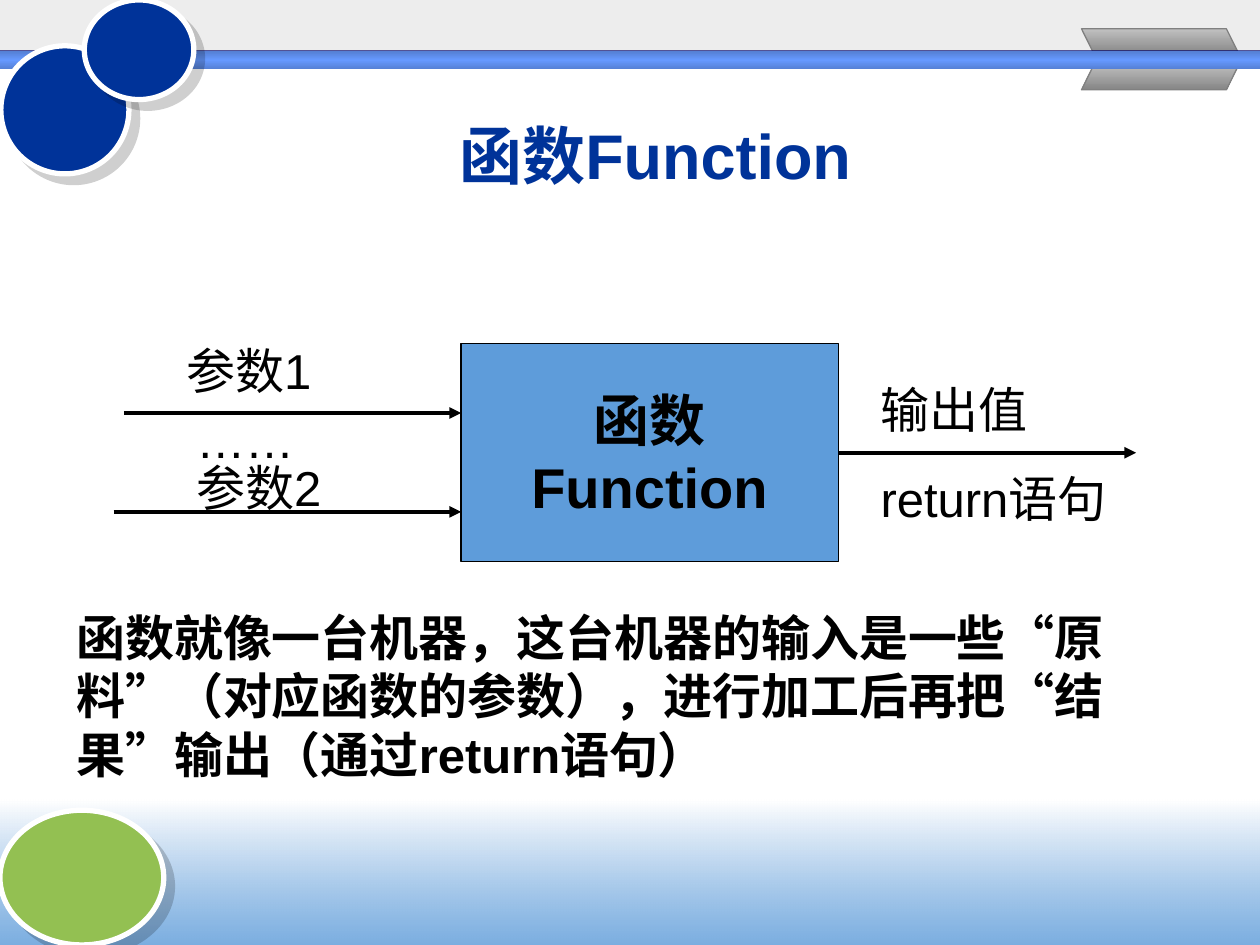
import pptx
import pptx.util
import pptx.dml.color
import pptx.enum.shapes
import pptx.enum.text
import pptx.oxml.ns
import lxml.etree
from dataclasses import dataclass

Pt = pptx.util.Pt
Form = pptx.enum.shapes.MSO_SHAPE
Align = pptx.enum.text.PP_ALIGN
Fit = pptx.enum.text.MSO_AUTO_SIZE
qn = pptx.oxml.ns.qn


def rgb(hue):
    return pptx.dml.color.RGBColor.from_string(hue)


def child(node, tag, **attrs):
    return lxml.etree.SubElement(node, qn(tag), attrs)


def fade(clr, alpha):
    """Set the opacity of a colour node, in percent."""
    if alpha < 100:
        child(clr, "a:alpha", val=str(alpha * 1000))


def tint(node, hue, alpha=100):
    """Add a colour to an XML node, with its opacity in percent."""
    fade(child(node, "a:srgbClr", val=hue), alpha)


@dataclass(frozen=True)
class Theme:
    font: str = "Arial"
    black: str = "000000"
    white: str = "FFFFFF"
    navy: str = "003399"
    dark: str = "000066"
    sky: str = "5E9CDA"
    green: str = "93C052"
    pale: str = "EAEAEA"
    edge: str = "808080"
    band: tuple = ("5580D5", "6699FF", "5580D5")
    metal: tuple = ("C0C0C0", "868686")
    title: int = 36
    box: int = 32
    text: int = 28


class Deck:
    def __init__(self, theme):
        self.theme = theme
        self.file = pptx.Presentation()
        self.file.slide_width, self.file.slide_height = Pt(720), Pt(540)
        self.slide = self.file.slides.add_slide(self.file.slide_layouts[5])
        self.shapes = self.slide.shapes

    def paint(self, shape, fill, line=None, width=0.75, alpha=100):
        """Fill with one colour, or with a top-down blend of several."""
        shape.shadow.inherit = False
        if isinstance(fill, str):
            shape.fill.solid()
            shape.fill.fore_color.rgb = rgb(fill)
            fade(shape._element.spPr.find(qn("a:solidFill"))[0], alpha)
        else:
            shape.fill.gradient()
            shape.fill.gradient_angle = 270
            stops = next(shape._element.spPr.iter(qn("a:gsLst")))
            for stop in list(stops):
                stops.remove(stop)
            last = len(fill) - 1
            for i, hue in enumerate(fill):
                stop = child(stops, "a:gs", pos=str(100000 * i // last))
                tint(stop, hue, alpha if i == last else 100)
        if line:
            shape.line.color.rgb = rgb(line)
            shape.line.width = Pt(width)
        else:
            shape.line.fill.background()
        return shape

    def rect(self, left, top, width, height, fill, **look):
        shape = self.shapes.add_shape(
            Form.RECTANGLE, Pt(left), Pt(top), Pt(width), Pt(height))
        return self.paint(shape, fill, **look)

    def disc(self, left, top, width, height, fill):
        """Add a white-rimmed ellipse with a hard shadow."""
        shape = self.shapes.add_shape(
            Form.OVAL, Pt(left), Pt(top), Pt(width), Pt(height))
        self.paint(shape, fill, self.theme.white, 3)
        effect = shape._element.spPr.find(qn("a:effectLst"))
        cast = child(effect, "a:outerShdw", blurRad="0", dist=str(Pt(7.1)),
                     dir="2700000", algn="ctr", rotWithShape="0")
        tint(cast, self.theme.black, 19)

    def plate(self, points):
        first, *rest = [(Pt(x), Pt(y)) for x, y in points]
        form = self.shapes.build_freeform(*first)
        form.add_line_segments(rest, close=True)
        self.paint(form.convert_to_shape(), self.theme.metal, self.theme.edge)

    def arrow(self, left, right, y, source=None):
        line = self.shapes.add_connector(
            pptx.enum.shapes.MSO_CONNECTOR.STRAIGHT,
            Pt(left), Pt(y), Pt(right), Pt(y))
        if source is not None:
            line.begin_connect(source, 3)
        line.line.color.rgb = rgb(self.theme.black)
        line.line.width = Pt(2.25)
        props = line._element.spPr
        child(props.find(qn("a:ln")), "a:tailEnd", type="triangle")
        child(props, "a:effectLst")

    def words(self, shape, lines, size, hue, bold=False, align=Align.LEFT,
              gap=0):
        """Put lines into a shape as styled paragraphs."""
        frame = shape.text_frame
        frame.text = "\n".join(lines)
        for i, para in enumerate(frame.paragraphs):
            para.alignment = align
            para.space_before = Pt(gap if i else 0)
            para.font.name = self.theme.font
            para.font.size = Pt(size)
            para.font.bold = bold
            para.font.color.rgb = rgb(hue)
        return frame

    def label(self, left, top, width, height, *lines, bold=False,
              fit=Fit.SHAPE_TO_FIT_TEXT):
        shape = self.shapes.add_textbox(
            Pt(left), Pt(top), Pt(width), Pt(height))
        frame = self.words(shape, lines, self.theme.text, self.theme.black,
                           bold, gap=17.5)
        frame.word_wrap = True
        frame.auto_size = fit

    def title(self, left, top, width, height, text):
        shape = self.shapes.title
        shape.left, shape.top = Pt(left), Pt(top)
        shape.width, shape.height = Pt(width), Pt(height)
        frame = self.words(shape, [text], self.theme.title, self.theme.navy,
                           True, Align.CENTER)
        frame.vertical_anchor = pptx.enum.text.MSO_ANCHOR.MIDDLE
        frame.auto_size = Fit.NONE


def decor(deck):
    look = deck.theme
    deck.rect(0, 0, 720, 37.5, look.pale, alpha=81)
    deck.rect(0, 457, 720, 83, (look.white, look.sky), alpha=81)
    for outer, inner in ((16.5, 31), (51.3, 36.7)):
        deck.plate([(700.8, outer), (708, inner), (625.2, inner),
                    (618, outer)])
    deck.disc(0, 463, 93.6, 77, look.green)
    deck.rect(0, 28.8, 720, 10, look.dark)
    deck.rect(0, 29.4, 720, 10, look.band)
    deck.disc(0.5, 26.2, 73.2, 73.2, look.navy)
    deck.disc(48.2, 0, 62.6, 56.9, look.navy)


def main():
    look = Theme()
    deck = Deck(look)
    decor(deck)
    deck.title(99.4, 60.5, 550, 55.4, "函数Function")

    left, top, width, height = 263.5, 196.4, 215.5, 124.6
    box = deck.rect(left, top, width, height, look.sky, line=look.black)
    frame = deck.words(box, ["函数", "Function"], look.box, look.black, True,
                       Align.CENTER)
    frame.word_wrap = False
    frame.vertical_anchor = pptx.enum.text.MSO_ANCHOR.MIDDLE

    deck.arrow(70.8, left, 236)
    deck.arrow(65, left, 292.5)
    deck.arrow(left + width, 649.2, top + height / 2, box)

    deck.label(99.4, 190.8, 164, 41, "参数1")
    deck.label(36.5, 343.4, 648, 165.6,
               "函数就像一台机器，这台机器的输入是一些“原料”（对应函数的参数），"
               "进行加工后再把“结果”输出（通过return语句）",
               bold=True, fit=Fit.NONE)
    deck.label(105.1, 257.8, 164, 41, "参数2")
    deck.label(496.1, 213.1, 164, 92, "输出值", "return语句")
    deck.label(105.1, 230.4, 164, 41, "……")
    deck.file.save("out.pptx")


if __name__ == "__main__":
    main()
